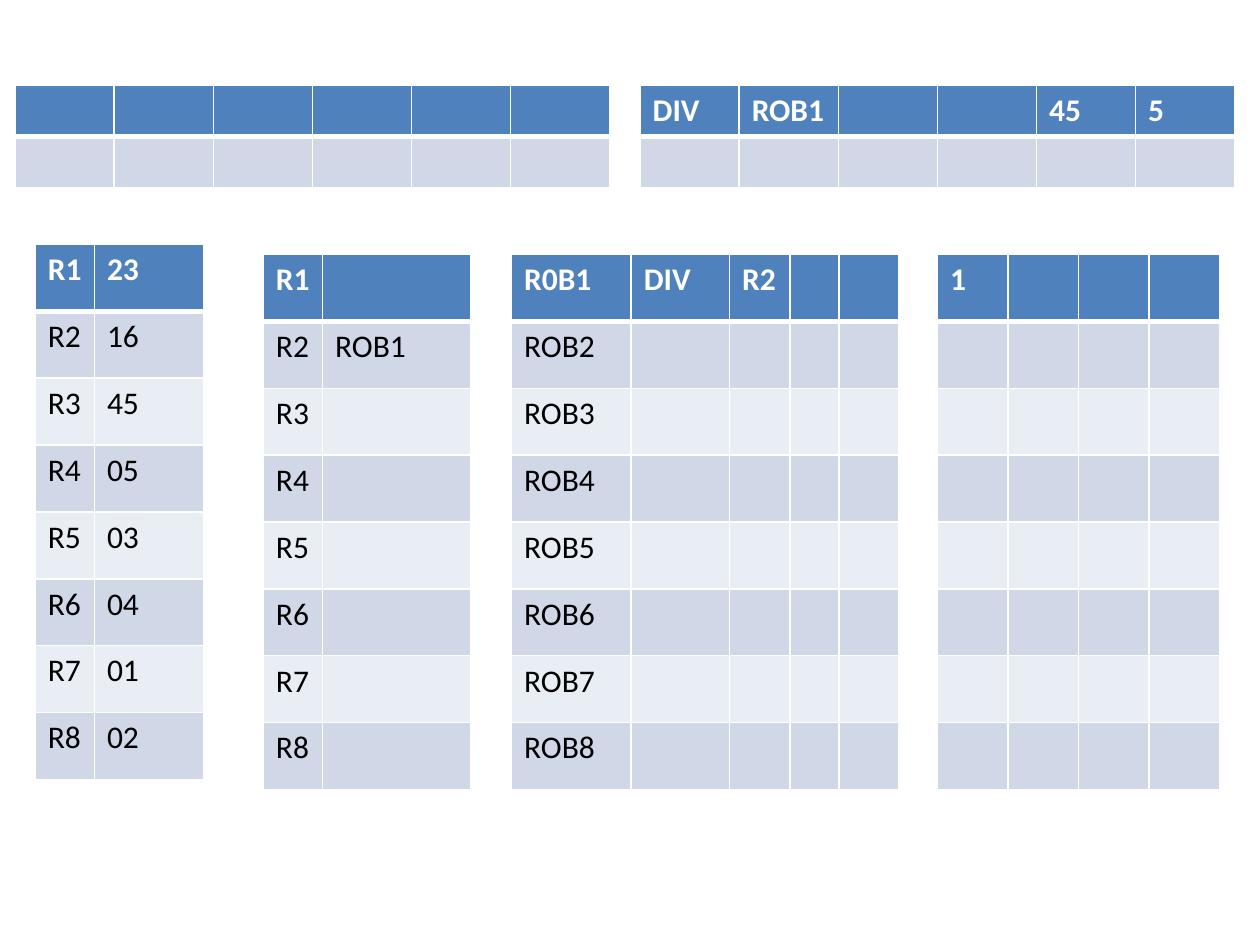
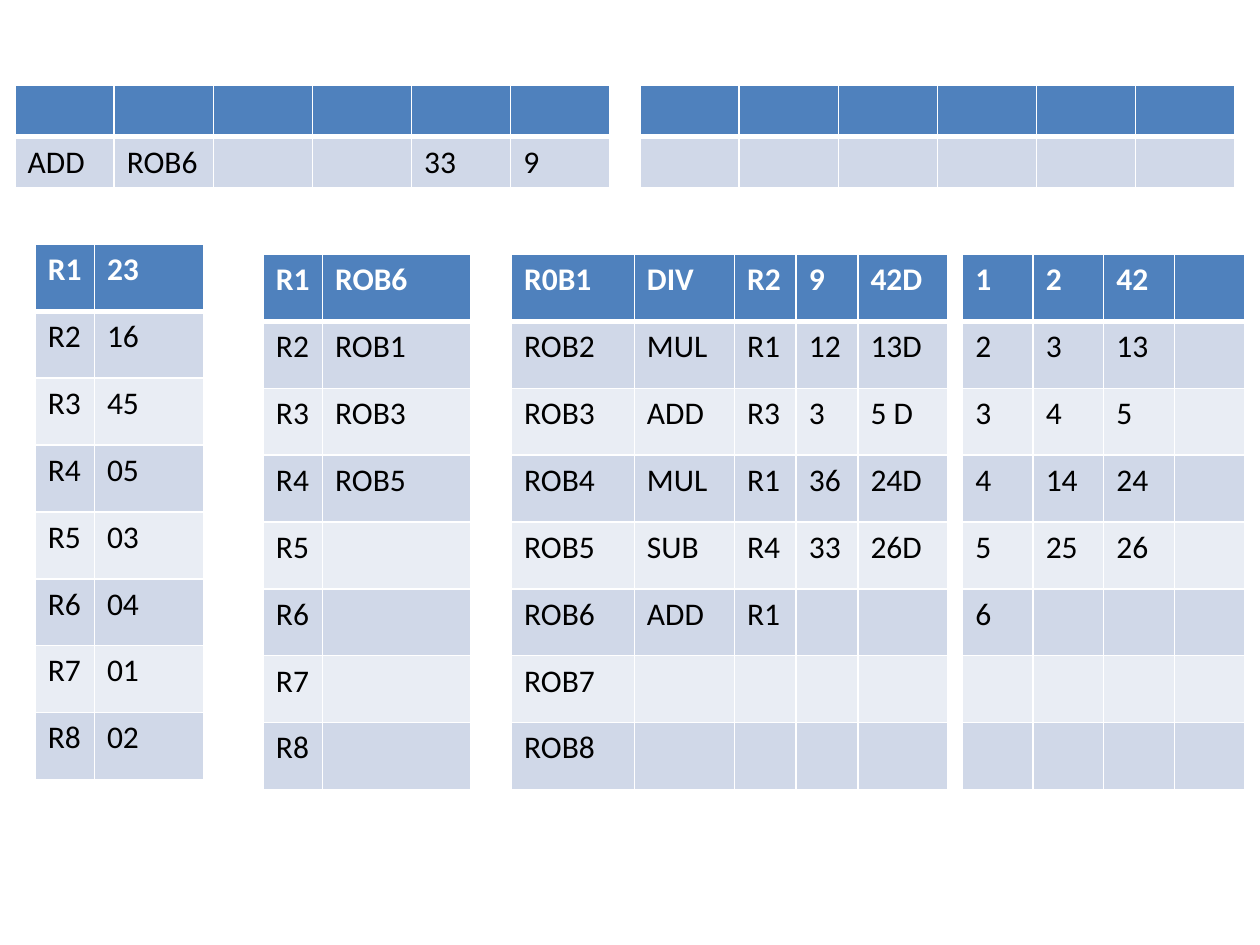
import lxml.etree
import pptx
import pptx.dml.color
import pptx.oxml.ns
import pptx.util

HEADER_BLUE = pptx.dml.color.RGBColor(0x4F, 0x81, 0xBD)
BAND_DARK = pptx.dml.color.RGBColor(0xD0, 0xD8, 0xE8)
BAND_LIGHT = pptx.dml.color.RGBColor(0xE9, 0xED, 0xF4)
WHITE = pptx.dml.color.RGBColor(0xFF, 0xFF, 0xFF)
BLACK = pptx.dml.color.RGBColor(0x00, 0x00, 0x00)
FONT_NAME = "Calibri"
FONT_SIZE = pptx.util.Pt(18)

# The slide is a grid of 100 columns by 75 rows
SLIDE_WIDTH = pptx.util.Inches(10)
SLIDE_HEIGHT = pptx.util.Inches(7.5)
GRID_COLUMN = SLIDE_WIDTH / 100
GRID_ROW = SLIDE_HEIGHT / 75

STATION_TOP, STATION_ROW = 6.8, 4.05
STATION_LEFTS = (1.2, 50.8)
STATION_WIDTHS = [7.87] * 6
REGISTER_TOP, LOWER_TOP, LOWER_ROW = 19.4, 20.2, 5.31
REGISTER_COUNT = 8

REGISTER_VALUES = ["23", "16", "45", "05", "03", "04", "01", "02"]


def set_border(cell, side, points):
    """Draw one white edge of a cell; call it before the cell is filled."""
    properties = cell._tc.get_or_add_tcPr()
    line = lxml.etree.SubElement(
        properties, pptx.oxml.ns.qn("a:ln" + side), w=str(pptx.util.Pt(points)))
    fill = lxml.etree.SubElement(line, pptx.oxml.ns.qn("a:solidFill"))
    lxml.etree.SubElement(fill, pptx.oxml.ns.qn("a:srgbClr"), val=str(WHITE))


def format_cell(cell, row_index, text):
    is_header = row_index == 0
    for side in "LRTB":
        under_header = (row_index, side) in ((0, "B"), (1, "T"))
        set_border(cell, side, 3 if under_header else 1)
    cell.fill.solid()
    if is_header:
        cell.fill.fore_color.rgb = HEADER_BLUE
    else:
        cell.fill.fore_color.rgb = BAND_DARK if row_index % 2 else BAND_LIGHT
    cell.text_frame.text = text
    for run in cell.text_frame.paragraphs[0].runs:
        run.font.name = FONT_NAME
        run.font.size = FONT_SIZE
        run.font.bold = is_header
        run.font.color.rgb = WHITE if is_header else BLACK


def add_grid_table(slide, left, top, widths, row_height, row_count, rows):
    """Add a banded table; missing rows and cells stay empty."""
    frame = slide.shapes.add_table(
        row_count, len(widths), round(left * GRID_COLUMN), round(top * GRID_ROW),
        round(sum(widths) * GRID_COLUMN), round(row_count * row_height * GRID_ROW))
    table = frame.table
    for column, width in zip(table.columns, widths):
        column.width = round(width * GRID_COLUMN)
    for row_index, row in enumerate(table.rows):
        row.height = round(row_height * GRID_ROW)
        texts = rows[row_index] if row_index < len(rows) else []
        for column_index, cell in enumerate(row.cells):
            text = texts[column_index] if column_index < len(texts) else ""
            format_cell(cell, row_index, text)


def add_stations(slide, stations):
    """Two reservation stations side by side along the top."""
    for left, rows in zip(STATION_LEFTS, stations):
        add_grid_table(slide, left, STATION_TOP, STATION_WIDTHS, STATION_ROW, 2, rows)


def add_lower_table(slide, left, widths, rows, top=LOWER_TOP):
    add_grid_table(slide, left, top, widths, LOWER_ROW, REGISTER_COUNT, rows)


def add_registers(slide, aliases):
    """Register values and the register alias table."""
    names = [f"R{number}" for number in range(1, REGISTER_COUNT + 1)]
    add_lower_table(slide, 2.8, [4.7, 8.7], list(zip(names, REGISTER_VALUES)),
                    REGISTER_TOP)
    add_lower_table(slide, 20.9, [4.7, 11.8],
                    [(name, aliases.get(name, "")) for name in names])


def add_reorder_buffer(slide, widths, entries):
    names = ["R0B1"] + [f"ROB{number}" for number in range(2, REGISTER_COUNT + 1)]
    rows = [[name] + (entries[index] if index < len(entries) else [])
            for index, name in enumerate(names)]
    add_lower_table(slide, 40.6, widths, rows)


def add_timing(slide, left, rows):
    """Cycle numbers of each instruction."""
    add_lower_table(slide, left, [5.6] * 4, rows)


def add_state_slide(presentation, state):
    slide = presentation.slides.add_slide(presentation.slide_layouts[6])
    add_stations(slide, state["stations"])
    add_registers(slide, state["aliases"])
    add_reorder_buffer(slide, state["buffer_widths"], state["buffer"])
    add_timing(slide, state["timing_left"], state["timing"])


FIRST_ISSUE = {
    "stations": ([], [["DIV", "ROB1", "", "", "45", "5"]]),
    "aliases": {"R2": "ROB1"},
    "buffer_widths": [9.5, 7.8, 4.8, 3.9, 4.7],
    "buffer": [["DIV", "R2"]],
    "timing_left": 74.4,
    "timing": [["1"]],
}

LAST_ISSUE = {
    "stations": ([[], ["ADD", "ROB6", "", "", "33", "9"]], []),
    "aliases": {"R1": "ROB6", "R2": "ROB1", "R3": "ROB3", "R4": "ROB5"},
    "buffer_widths": [9.75, 7.95, 4.9, 4.9, 7.1],
    "buffer": [
        ["DIV", "R2", "9", "42D"],
        ["MUL", "R1", "12", "13D"],
        ["ADD", "R3", "3", "5 D"],
        ["MUL", "R1", "36", "24D"],
        ["SUB", "R4", "33", "26D"],
        ["ADD", "R1"],
    ],
    "timing_left": 76.4,
    "timing": [
        ["1", "2", "42"],
        ["2", "3", "13"],
        ["3", "4", "5"],
        ["4", "14", "24"],
        ["5", "25", "26"],
        ["6"],
    ],
}


def main():
    presentation = pptx.Presentation()
    presentation.slide_width = SLIDE_WIDTH
    presentation.slide_height = SLIDE_HEIGHT
    for state in (FIRST_ISSUE, LAST_ISSUE):
        add_state_slide(presentation, state)
    presentation.save("out.pptx")


if __name__ == "__main__":
    main()
